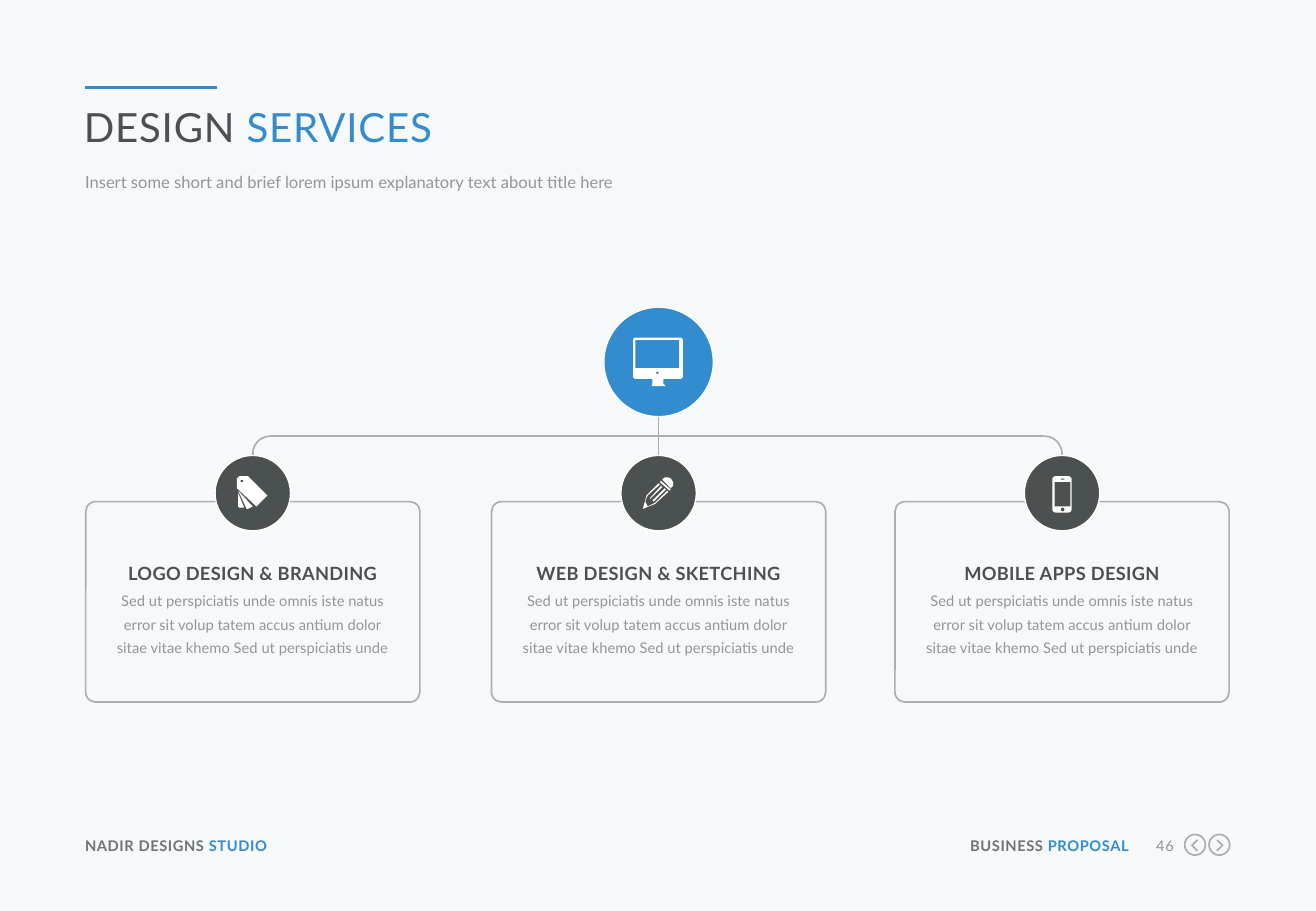
from lxml import etree
from pptx import Presentation
from pptx.dml.color import RGBColor
from pptx.enum.shapes import MSO_CONNECTOR, MSO_SHAPE as Preset
from pptx.enum.text import PP_ALIGN as Align
from pptx.oxml.ns import qn
from pptx.util import Inches, Pt


class Theme:
    font = "Lato"
    background, white = RGBColor(0xF6, 0xF8, 0xFA), RGBColor(255, 255, 255)
    blue, dark = RGBColor(0x32, 0x8C, 0xCD), RGBColor(0x4B, 0x50, 0x50)
    footer, muted = RGBColor(0x6E, 0x73, 0x78), RGBColor(0x91, 0x96, 0x9B)
    outline = RGBColor(0xAA, 0xAF, 0xB4)
    title, subtitle, heading, small = 23.8, 9.8, 10.8, 8.7


presentation = Presentation()
presentation.slide_width, presentation.slide_height = Inches(10.83), Inches(7.5)
slide = presentation.slides.add_slide(presentation.slide_layouts[6])
slide.background.fill.solid()
slide.background.fill.fore_color.rgb = Theme.background


def add_preset(kind, box, fill=None, line=None, line_width=1, adjustments=()):
    """Add a preset shape; a missing fill or line colour leaves it empty."""
    shape = slide.shapes.add_shape(kind, *map(Inches, box))
    shape.shadow.inherit = False
    if fill is None:
        shape.fill.background()
    else:
        shape.fill.solid()
        shape.fill.fore_color.rgb = fill
    if line is None:
        shape.line.fill.background()
    else:
        shape.line.color.rgb = line
        shape.line.width = Pt(line_width)
    for index, value in enumerate(adjustments):
        shape.adjustments[index] = value


def add_text(box, parts, size, align=Align.LEFT, bold=False, tracking=0, leading=None):
    """Add one paragraph made of (text, colour) parts; tracking and leading are in points."""
    text_frame = slide.shapes.add_textbox(*map(Inches, box)).text_frame
    text_frame.word_wrap = True
    text_frame.margin_left = text_frame.margin_right = 0
    text_frame.margin_top = text_frame.margin_bottom = 0
    paragraph = text_frame.paragraphs[0]
    paragraph.alignment = align
    if leading:
        paragraph.line_spacing = Pt(leading)
    for text, color in parts:
        run = paragraph.add_run()
        run.text = text
        run.font.name, run.font.size, run.font.bold = Theme.font, Pt(size), bold
        run.font.color.rgb = color
        run._r.get_or_add_rPr().set("spc", str(round(tracking * 100)))


# Title and footer
add_text((0.69, 0.84, 9.42, 0.41), [("DESIGN", Theme.dark), (" SERVICES", Theme.blue)],
         Theme.title, tracking=0.5)
add_text((0.7, 1.4, 9.42, 0.21),
         [("Insert some short and brief lorem ipsum explanatory text about title here", Theme.muted)],
         Theme.subtitle, leading=13)
add_text((0.7, 6.89, 2.11, 0.15), [("NADIR DESIGNS ", Theme.footer), ("STUDIO", Theme.blue)],
         Theme.small, bold=True, tracking=0.3)
add_text((7.92, 6.89, 1.37, 0.15), [("BUSINESS ", Theme.footer), ("PROPOSAL", Theme.blue)],
         Theme.small, Align.RIGHT, bold=True, tracking=0.3)
add_text((9.41, 6.89, 0.25, 0.15), [("46", Theme.muted)], Theme.small, Align.RIGHT, tracking=0.3)
for button_left in (9.75, 9.95):
    add_preset(Preset.OVAL, (button_left, 6.87, 0.17, 0.17), line=Theme.outline)

# Connecting tree
CENTERS = (2.08, 5.42, 8.74)
left, middle, right = CENTERS
BAR_TOP, BEND = 3.59, 0.29
connectors = [
    ((0.7, 0.72), (1.79, 0.72), Theme.blue, 2.25),
    ((left + BEND / 2, BAR_TOP), (right - BEND / 2, BAR_TOP), Theme.outline, 1),
    ((middle, 3.43), (middle, 3.75), Theme.outline, 1),
    ((left, 3.73), (left, 3.79), Theme.outline, 1),
    ((right, 3.73), (right, 3.79), Theme.outline, 1),
]
for start, end, color, width in connectors:
    connector = slide.shapes.add_connector(MSO_CONNECTOR.STRAIGHT, *map(Inches, start + end))
    connector.line.color.rgb = color
    connector.line.width = Pt(width)
    etree.SubElement(connector._element.spPr, qn("a:effectLst"))
for arc_left, angles in ((left, (108, 162)), (right - BEND, (162, 0))):
    add_preset(Preset.ARC, (arc_left, BAR_TOP, BEND, BEND), line=Theme.outline, adjustments=angles)

# Service cards
DESCRIPTION = ("Sed ut perspiciatis unde omnis iste natus error sit volup tatem accus antium "
               "dolor sitae vitae khemo Sed ut perspiciatis unde")
headings = ("LOGO DESIGN & BRANDING", "WEB DESIGN & SKETCHING", "MOBILE APPS DESIGN")
for center, heading in zip(CENTERS, headings):
    add_preset(Preset.ROUNDED_RECTANGLE, (center - 2.75 / 2, 4.13, 2.75, 1.65),
               line=Theme.outline, adjustments=(0.05,))
    add_preset(Preset.OVAL, (center - 0.31, 3.75, 0.62, 0.62), Theme.dark, Theme.white, 0.75)
    add_text((center - 1.2, 4.55, 2.4, 0.25), [(heading, Theme.dark)], Theme.heading,
             Align.CENTER, bold=True, tracking=0.2, leading=18.4)
    add_text((center - 1.2, 4.82, 2.4, 0.59), [(DESCRIPTION, Theme.muted)], Theme.small,
             Align.CENTER, leading=14.1)
add_preset(Preset.OVAL, (middle - 0.45, 2.53, 0.9, 0.9), Theme.blue, Theme.white, 0.75)

# Icon outlines: each entry is a fill and its closed contours
monitor_stand = [[(5.37, 3.11), (5.46, 3.11), (5.46, 3.16), (5.48, 3.18), (5.36, 3.18), (5.37, 3.16)]]
swatches = [
    [(1.95, 3.94), (1.97, 3.92), (2.04, 3.92), (2.2, 4.08), (2.11, 4.17), (1.95, 4.02)],
    [(1.96, 4.04), (2.08, 4.17), (2.04, 4.19), (2.03, 4.19)],
    [(1.96, 4.06), (2.01, 4.18), (1.97, 4.18), (1.96, 4.17)],
]
pencil = [
    [(5.29, 4.19), (5.32, 4.08), (5.42, 3.98), (5.43, 3.99), (5.33, 4.08), (5.32, 4.1),
     (5.31, 4.13), (5.33, 4.17), (5.39, 4.14), (5.49, 4.04), (5.5, 4.05), (5.39, 4.15)],
    [(5.35, 4.1), (5.44, 4), (5.45, 4.01), (5.35, 4.11)],
    [(5.37, 4.12), (5.47, 4.02), (5.48, 4.03), (5.38, 4.13)],
    [(5.43, 3.97), (5.44, 3.96), (5.52, 4.03), (5.51, 4.04)],
    [(5.45, 3.95), (5.47, 3.93), (5.5, 3.93), (5.52, 3.94), (5.54, 3.97), (5.54, 4), (5.52, 4.02)],
]
chevrons = [
    [(9.85, 6.91), (9.86, 6.92), (9.82, 6.96), (9.86, 7), (9.85, 7.01), (9.8, 6.96)],
    [(10.02, 6.91), (10.01, 6.92), (10.05, 6.96), (10.01, 7), (10.02, 7.01), (10.07, 6.96)],
]
outlines = [(Theme.white, monitor_stand), (Theme.white, swatches),
            (Theme.white, pencil), (Theme.outline, chevrons)]
for fill, contours in outlines:
    builder = None
    for contour in contours:
        points = [(Inches(x), Inches(y)) for x, y in contour]
        if builder is None:
            builder = slide.shapes.build_freeform(*points[0])
        else:
            builder.move_to(*points[0])
        builder.add_line_segments(points[1:], close=True)
    shape = builder.convert_to_shape()
    shape.shadow.inherit = False
    shape.fill.solid()
    shape.fill.fore_color.rgb = fill
    shape.line.fill.background()

# Preset parts of the monitor, swatch and phone icons
icon_parts = [
    (Preset.ROUNDED_RECTANGLE, (5.21, 2.78, 0.41, 0.34), Theme.white, (0.06,)),
    (Preset.RECTANGLE, (5.23, 2.8, 0.36, 0.23), Theme.blue, ()),
    (Preset.OVAL, (5.4, 3.06, 0.02, 0.02), Theme.blue, ()),
    (Preset.OVAL, (1.98, 3.95, 0.02, 0.02), Theme.dark, ()),
    (Preset.ROUNDED_RECTANGLE, (8.66, 3.92, 0.16, 0.3), Theme.white, (0.17,)),
    (Preset.RECTANGLE, (8.68, 3.97, 0.13, 0.2), Theme.dark, ()),
    (Preset.OVAL, (8.73, 4.18, 0.03, 0.03), Theme.dark, ()),
    (Preset.RECTANGLE, (8.73, 3.94, 0.03, 0.01), Theme.dark, ()),
]
for kind, box, fill, adjustments in icon_parts:
    add_preset(kind, box, fill, adjustments=adjustments)

presentation.save("out.pptx")
